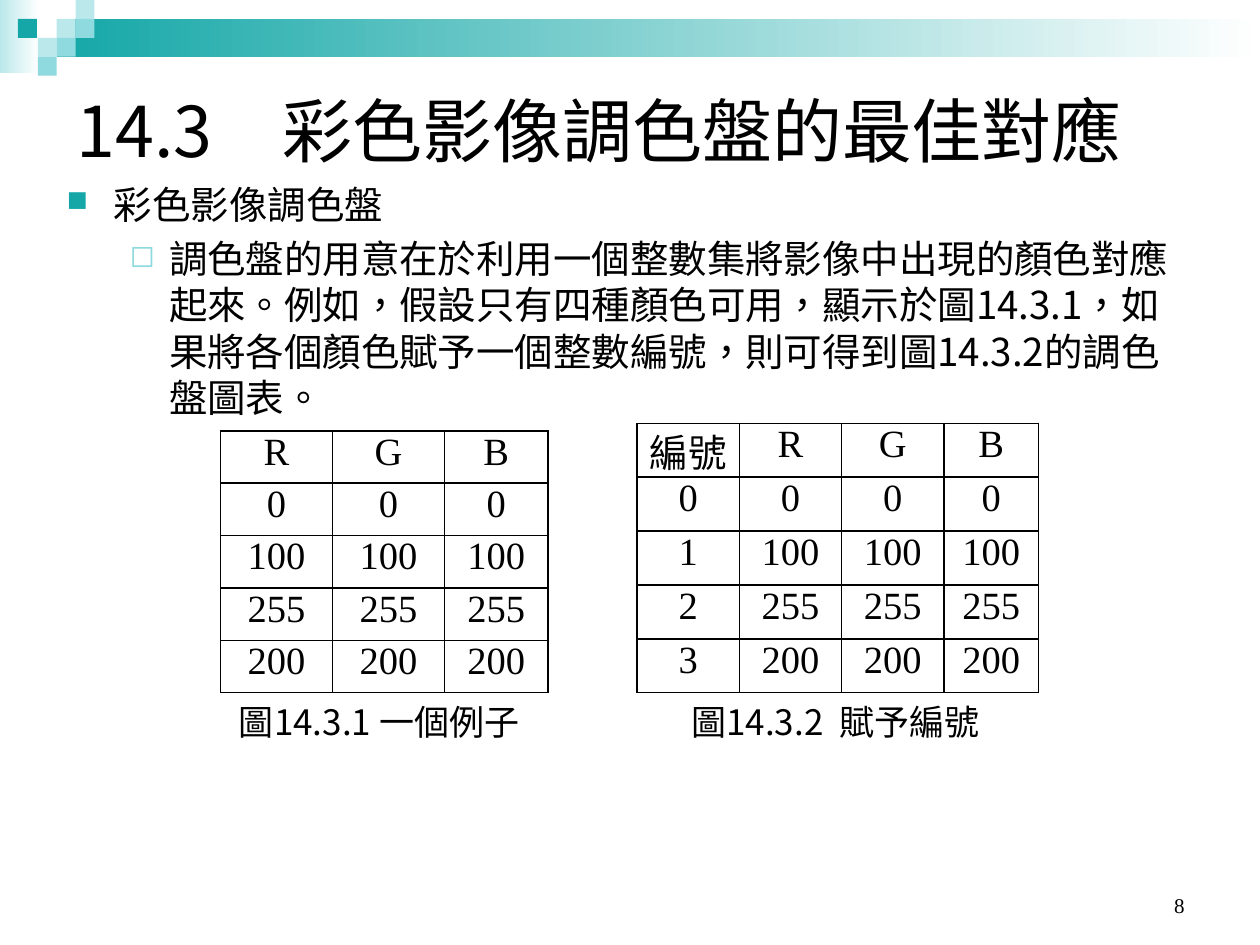
"""Build the slide on the palette of a colour image."""
from typing import NamedTuple

from lxml import etree
from pptx import Presentation
from pptx.dml.color import RGBColor
from pptx.enum.shapes import MSO_SHAPE
from pptx.enum.text import MSO_ANCHOR, PP_ALIGN
from pptx.oxml.ns import qn
from pptx.util import Pt

RECT = MSO_SHAPE.RECTANGLE
TOP, MIDDLE, BOTTOM = MSO_ANCHOR.TOP, MSO_ANCHOR.MIDDLE, MSO_ANCHOR.BOTTOM
LEFT, CENTER, RIGHT = PP_ALIGN.LEFT, PP_ALIGN.CENTER, PP_ALIGN.RIGHT
SANS, SERIF = "Noto Sans CJK SC", "Times New Roman"
COLORS = {"ink": "000000", "paper": "FFFFFF", "teal": "15A7A7",
          "aqua": "8EDADE", "pale": "BBE8EB"}
UNIT = 10.8


class Box(NamedTuple):
    left: float
    top: float
    width: float
    height: float


class Tile(NamedTuple):
    col: float
    row: int
    color: str


class Point(NamedTuple):
    text: str
    level: int
    margin: float
    indent: float
    mark: str
    color: str
    size: int


class Label(NamedTuple):
    text: str
    box: Box
    size: int
    font: str
    align: int
    anchor: int


class Grid(NamedTuple):
    left: float
    top: float
    cols: list[float]
    height: float
    rows: list[list[str]]


BANDS = [(Box(0, 0, 22.3, 41.8), "pale"), (Box(32.4, 10.8, 687.6, 21.6), "teal")]
TILES = [Tile(3, 1, "pale"), Tile(4, 0, "pale"), Tile(4, 1, "aqua"),
         Tile(2, 2, "pale"), Tile(0.95, 1, "teal"), Tile(3, 2, "aqua"),
         Tile(2, 3, "aqua")]
TITLE = Label("14.3\u3000彩色影像調色盤的最佳對應".replace("\u3000", "　"),
              Box(36.7, 20.2, 648, 108), 40, SANS, LEFT, MIDDLE)
POINTS = [
    Point("彩色影像調色盤", 0, 27, -27, "■", "teal", 75),
    Point("調色盤的用意在於利用一個整數集將影像中出現的顏色對應起來。"
          "例如，假設只有四種顏色可用，顯示於圖14.3.1，如果將各個顏色"
          "賦予一個整數編號，則可得到圖14.3.2的調色盤圖表。",
          1, 58.5, -22.5, "◻", "aqua", 80),
]
LABELS = [
    Label("8", Box(516.2, 491.8, 167.8, 36), 12, SERIF, RIGHT, BOTTOM),
    Label("圖14.3.1 一個例子", Box(120.2, 396.7, 193, 31.7), 20, SANS, CENTER, MIDDLE),
    Label("圖14.3.2  賦予編號", Box(380.9, 396.7, 193, 31.7), 20, SANS, CENTER, MIDDLE),
]
LEVELS = ["0", "100", "255", "200"]
HEAD = ["R", "G", "B"]
SHADES = [[level] * 3 for level in LEVELS]
GRIDS = [
    Grid(126, 246.2, [64, 64, 59.2], 29.95, [HEAD, *SHADES]),
    Grid(364.1, 241.9, [58.4, 58.4, 58.4, 54.2], 30.8,
         [["編號", *HEAD]] + [[str(i), *row] for i, row in enumerate(SHADES)]),
]


def rgb(name: str) -> RGBColor:
    return RGBColor.from_string(COLORS[name])


def place(shape, box: Box) -> None:
    shape.left, shape.top, shape.width, shape.height = map(Pt, box)


def style(para, size: int, font: str, align: int = LEFT) -> None:
    para.alignment = align
    for run in para.runs:
        run.font.size, run.font.name = Pt(size), font
        run.font.color.rgb = rgb("ink")
        props = run.font._element
        props.set("lang", "zh-TW")
        etree.SubElement(props, qn("a:ea")).set("typeface", SANS)


def draw_rect(slide, box: Box, color: str, fade: bool = False) -> None:
    shape = slide.shapes.add_shape(RECT, *map(Pt, box))
    shape.shadow.inherit = False
    shape.line.fill.background()
    if fade:
        shape.fill.gradient()
        shape.fill.gradient_angle = 0
        for stop, name in zip(shape.fill.gradient_stops, (color, "paper")):
            stop.color.rgb = rgb(name)
    else:
        shape.fill.solid()
        shape.fill.fore_color.rgb = rgb(color)


def write(shape, label: Label) -> None:
    place(shape, label.box)
    frame = shape.text_frame
    frame.text = label.text
    frame.word_wrap = True
    frame.vertical_anchor = label.anchor
    style(frame.paragraphs[0], label.size, label.font, label.align)


def draw_body(slide, box: Box, points: list[Point]) -> None:
    frame = slide.shapes.add_textbox(*map(Pt, box)).text_frame
    frame.word_wrap = True
    frame.text = "\n".join(point.text for point in points)
    for para, point in zip(frame.paragraphs, points):
        style(para, 22, SANS)
        para.level = point.level
        para.space_before = Pt(4.4)
        para.line_spacing = Pt(26.4)
        props = para._p.get_or_add_pPr()
        props.set("marL", str(Pt(point.margin)))
        props.set("indent", str(Pt(point.indent)))
        tint = etree.SubElement(props, qn("a:buClr"))
        etree.SubElement(tint, qn("a:srgbClr")).set("val", COLORS[point.color])
        etree.SubElement(props, qn("a:buSzPct")).set("val", str(point.size * 1000))
        etree.SubElement(props, qn("a:buChar")).set("char", point.mark)


def edge(cell) -> None:
    props = cell._tc.get_or_add_tcPr()
    for side in ("a:lnL", "a:lnR", "a:lnT", "a:lnB"):
        line = etree.SubElement(props, qn(side))
        line.set("w", str(Pt(1)))
        fill = etree.SubElement(line, qn("a:solidFill"))
        etree.SubElement(fill, qn("a:srgbClr")).set("val", COLORS["ink"])


def draw_grid(slide, grid: Grid) -> None:
    count = len(grid.rows)
    box = Box(grid.left, grid.top, sum(grid.cols), grid.height * count)
    table = slide.shapes.add_table(count, len(grid.cols), *map(Pt, box)).table
    table.first_row = table.horz_banding = False
    for col, width in zip(table.columns, grid.cols):
        col.width = Pt(width)
    for row, texts in zip(table.rows, grid.rows):
        row.height = Pt(grid.height)
        for cell, text in zip(row.cells, texts):
            cell.text = text
            cell.margin_left = cell.margin_right = Pt(5.8)
            cell.margin_top = cell.margin_bottom = 0
            cell.vertical_anchor = TOP
            style(cell.text_frame.paragraphs[0], 22, SERIF, CENTER)
            edge(cell)
            cell.fill.background()


def main() -> None:
    deck = Presentation()
    deck.slide_width, deck.slide_height = Pt(720), Pt(540)
    slide = deck.slides.add_slide(deck.slide_layouts[5])
    for box, color in BANDS:
        draw_rect(slide, box, color, fade=True)
    for tile in TILES:
        draw_rect(slide, Box(tile.col * UNIT, tile.row * UNIT, UNIT, UNIT), tile.color)
    write(slide.shapes.title, TITLE)
    draw_body(slide, Box(31, 100.1, 648, 306), POINTS)
    for grid in GRIDS:
        draw_grid(slide, grid)
    for label in LABELS:
        write(slide.shapes.add_textbox(*map(Pt, label.box)), label)
    deck.save("out.pptx")


if __name__ == "__main__":
    main()
